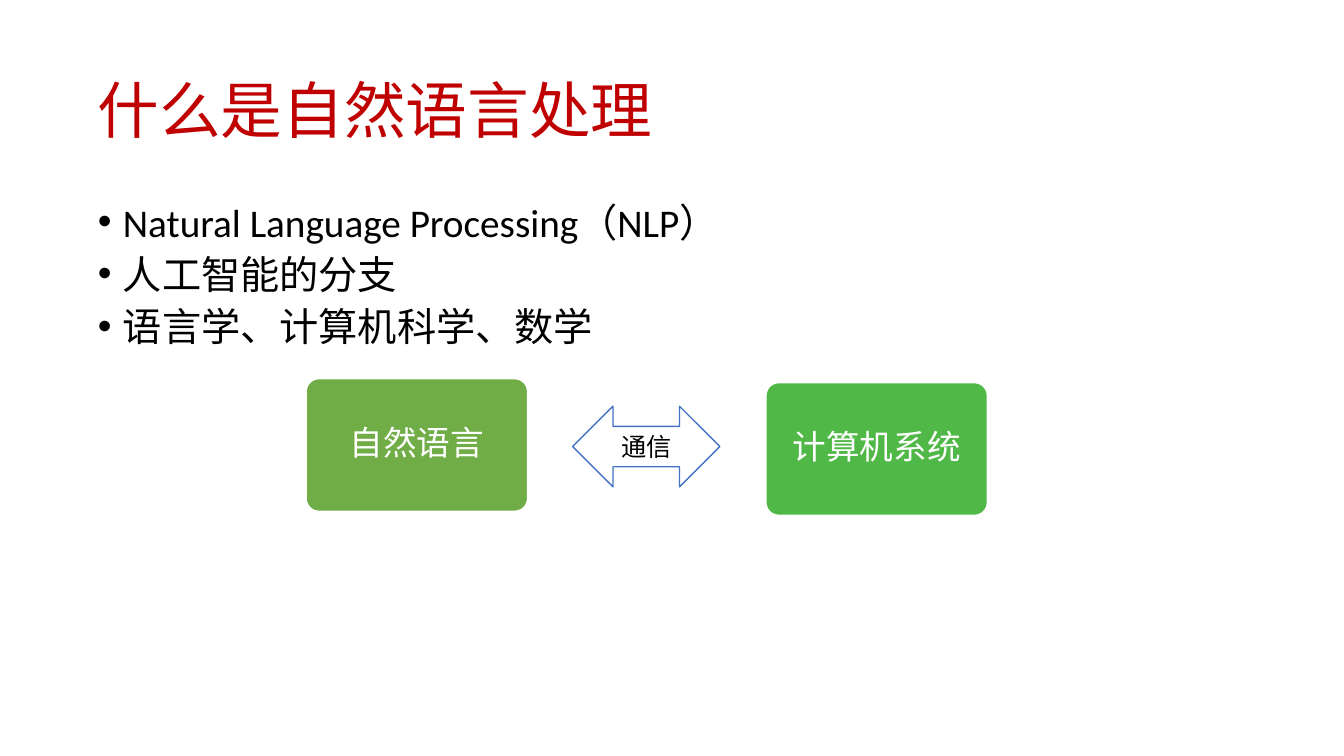
from dataclasses import dataclass

from pptx import Presentation
from pptx.dml.color import RGBColor
from pptx.enum.shapes import MSO_SHAPE as Preset
from pptx.enum.text import MSO_ANCHOR as Anchor, MSO_AUTO_SIZE as AutoSize, PP_ALIGN as Align
from pptx.util import Inches, Pt

WIDTH, HEIGHT = Inches(13.33), Inches(7.5)
FONT = "Calibri"
COLORS = {
    "heading": "C00000",
    "ink": "000000",
    "paper": "FFFFFF",
    "language": "70AD47",
    "computer": "50B846",
    "exchange": "4472C4",
}


@dataclass(frozen=True)
class Area:
    """Left, top, width and height as percentages of the slide."""
    left: float
    top: float
    width: float
    height: float


@dataclass(frozen=True)
class Node:
    label: str
    preset: Preset
    area: Area
    fill: str
    outline: str
    line_width: float
    ink: str
    size: float
    inset: float
    spacing: float = 1.0
    corner: float | None = None


def place(item, area: Area) -> None:
    item.left, item.width = (int(WIDTH * share / 100) for share in (area.left, area.width))
    item.top, item.height = (int(HEIGHT * share / 100) for share in (area.top, area.height))


def color(name: str) -> RGBColor:
    return RGBColor.from_string(COLORS[name])


def write(frame, lines: list[str], *, size: float, ink: str, align=Align.LEFT,
          anchor=Anchor.MIDDLE, inset: float = 0.05, spacing: float = 1.0,
          before: float = 0, hanging: float = 0) -> None:
    frame.word_wrap = True
    frame.auto_size = AutoSize.NONE
    frame.vertical_anchor = anchor
    frame.margin_left = frame.margin_right = Inches(inset)
    frame.margin_top = frame.margin_bottom = Inches(inset)
    for index, line in enumerate(lines):
        paragraph = frame.paragraphs[0] if index == 0 else frame.add_paragraph()
        paragraph.alignment = align
        paragraph.line_spacing = spacing
        paragraph.space_before = Pt(before)
        if hanging:
            properties = paragraph._p.get_or_add_pPr()
            properties.set("marL", str(Inches(hanging)))
            properties.set("indent", str(-Inches(hanging)))
        run = paragraph.add_run()
        run.text = line
        run.font.name, run.font.size = FONT, Pt(size)
        run.font.color.rgb = color(ink)


def draw_node(shapes, node: Node) -> None:
    shape = shapes.add_shape(node.preset, 0, 0, 0, 0)
    place(shape, node.area)
    shape.shadow.inherit = False
    if node.corner is not None:
        shape.adjustments[0] = node.corner
    shape.fill.solid()
    shape.fill.fore_color.rgb = color(node.fill)
    shape.line.color.rgb = color(node.outline)
    shape.line.width = Pt(node.line_width)
    write(shape.text_frame, [node.label], size=node.size, ink=node.ink,
          align=Align.CENTER, inset=node.inset, spacing=node.spacing)


def party(label: str, left: float, top: float, fill: str) -> Node:
    return Node(label, Preset.ROUNDED_RECTANGLE, Area(left, top, 16.58, 17.73), fill,
                "paper", 2, "paper", size=24, inset=0.14, spacing=0.9, corner=0.1)


NODES = [
    party("计算机系统", 56.94, 50.53, "computer"),
    party("自然语言", 22.73, 50, "language"),
    Node("通信", Preset.LEFT_RIGHT_ARROW, Area(42.61, 53.73, 10.95, 10.67), "paper",
         "exchange", 1, "ink", size=18, inset=0.05),
]


def main() -> None:
    deck = Presentation()
    deck.slide_width, deck.slide_height = WIDTH, HEIGHT
    slide = deck.slides.add_slide(deck.slide_layouts[1])

    # Title and list
    heading, topics = slide.placeholders
    place(heading, Area(6.9, 5.33, 86.27, 19.33))
    write(heading.text_frame, ["什么是自然语言处理"], size=44, ink="heading", spacing=0.9)
    place(topics, Area(6.9, 26.67, 86.27, 63.47))
    write(topics.text_frame,
          ["Natural Language Processing（NLP）", "人工智能的分支", "语言学、计算机科学、数学"],
          size=28, ink="ink", anchor=Anchor.TOP, spacing=0.81, before=10, hanging=0.25)

    # Communication between language and computer
    for node in NODES:
        draw_node(slide.shapes, node)

    deck.save("out.pptx")


if __name__ == "__main__":
    main()
